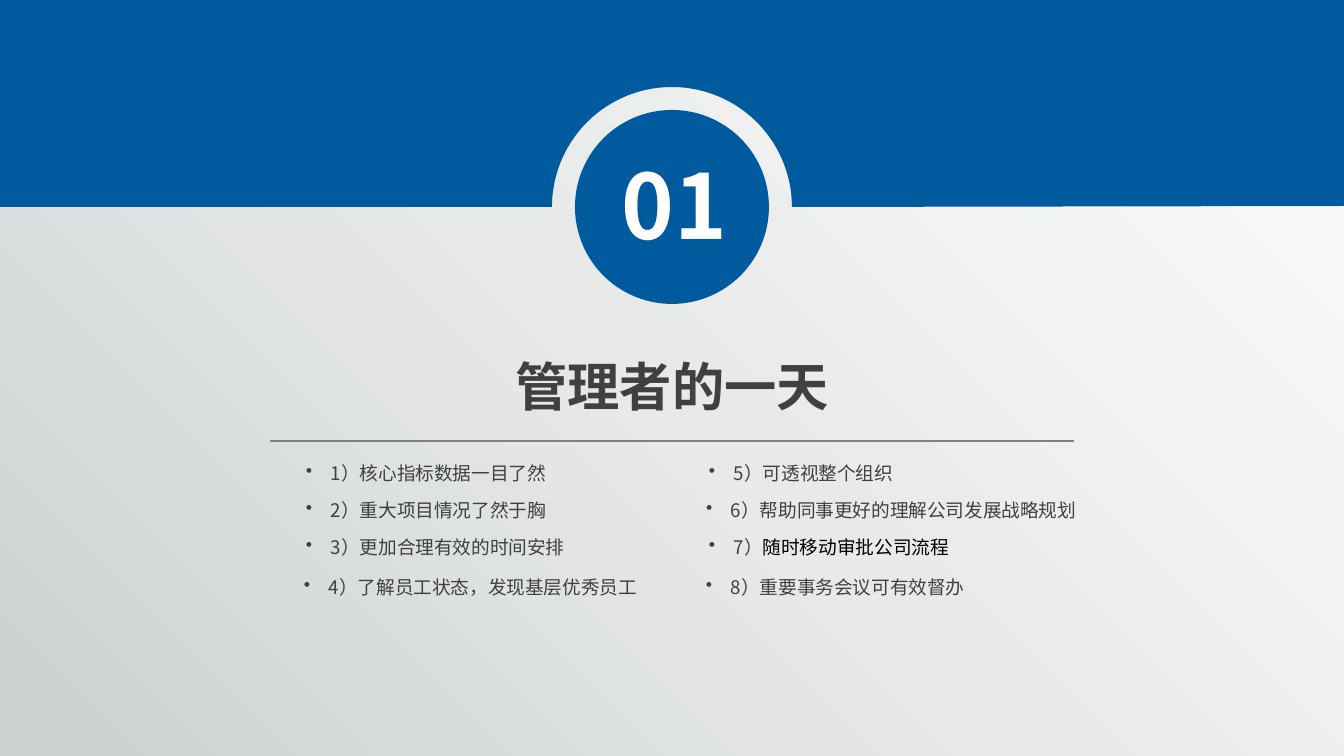
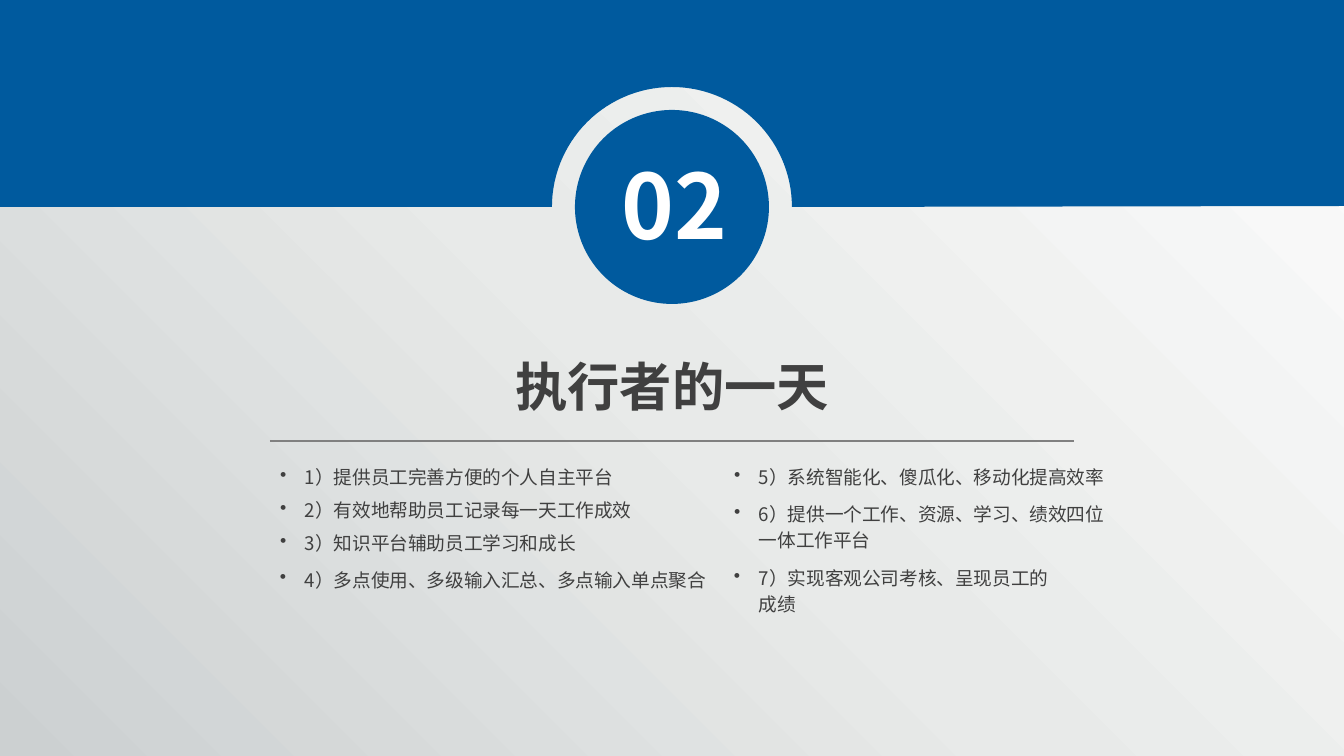
import copy
import math

from lxml import etree
from pptx import Presentation
from pptx import util as u
from pptx.dml import color
from pptx.enum import shapes, text
from pptx.oxml import ns

FONT = "Noto Sans CJK SC"
BLUE, DARK, GRAY, WHITE, BLACK = "005A9E", "404040", "808080", "FFFFFF", "000000"
FADE = [(0, "CCD0D1"), (0.49, "E8EAE9"), (1, "FCFCFC")]
WIDE, HIGH = 1344, 756
SCALE = 914400 / 134.4


def px(n):
    return u.Emu(round(n * SCALE))


def rgb(code):
    return color.RGBColor.from_string(code)


def sub(node, tag, **attrs):
    return etree.SubElement(node, ns.qn(tag), **attrs)


def paint(shape, fill):
    shape.shadow.inherit = False
    shape.fill.solid()
    shape.fill.fore_color.rgb = rgb(fill)
    shape.line.fill.background()


def write(shape, runs, box, size, bold=False, align=None, pad=(10, 5), bullet=False):
    """Fill a shape with one paragraph of (words, colour) runs."""
    shape.left, shape.top, shape.width, shape.height = map(px, box)
    frame = shape.text_frame
    frame.word_wrap = True
    frame.auto_size = text.MSO_AUTO_SIZE.SHAPE_TO_FIT_TEXT
    frame.vertical_anchor = text.MSO_ANCHOR.TOP
    frame.margin_left = frame.margin_right = px(pad[0])
    frame.margin_top = frame.margin_bottom = px(pad[1])
    para = frame.paragraphs[0]
    if bullet:
        props = para._p.get_or_add_pPr()
        props.set("marL", str(px(25)))
        props.set("indent", str(px(-25)))
        sub(props, "a:buChar", char="•")
        para.line_spacing = 1.2
    para.alignment = align
    for words, tint in runs:
        run = para.add_run()
        run.text = words
        font = run.font
        font.name, font.size, font.bold = FONT, u.Pt(size), bold
        font.color.rgb = rgb(tint)
        sub(run._r.get_or_add_rPr(), "a:ea", typeface=FONT)


def label(parent, runs, box, size, **style):
    write(parent.add_textbox(0, 0, 0, 0), runs, box, size, **style)


def backdrop(master):
    """Diagonal fade behind every slide."""
    fill = master.background.fill
    fill.gradient()
    fill.gradient_angle = 45
    stops = master.element.find(".//" + ns.qn("a:gsLst"))
    stops.append(copy.deepcopy(stops[-1]))
    for stop, (place, tint) in zip(fill.gradient_stops, FADE):
        stop.position = place
        stop.color.rgb = rgb(tint)


def band(slide, mid, base, radius):
    """Top band with a round notch centred on its lower edge."""
    arc = [(mid - radius * math.cos(math.radians(a)),
            base - radius * math.sin(math.radians(a))) for a in range(0, 181, 3)]
    edge = [(-1, base), *arc, (WIDE + 3, base - 1), (WIDE + 2, -106)]
    pen = slide.shapes.build_freeform(px(-1), px(-105))
    pen.add_line_segments([(px(x), px(y)) for x, y in edge], close=True)
    paint(pen.convert_to_shape(), BLUE)


def badge(slide, number, left, top, size):
    """Numbered disc."""
    group = slide.shapes.add_group_shape().shapes
    disc = group.add_shape(shapes.MSO_SHAPE.OVAL, px(left), px(top), px(size), px(size))
    paint(disc, BLUE)
    label(group, [(number, WHITE)], (left + 26, top + 35, 146, 118), 48,
          bold=True, align=text.PP_ALIGN.CENTER)


def rule(slide, left, top, width):
    line = slide.shapes.add_connector(shapes.MSO_CONNECTOR.STRAIGHT,
                                      px(left), px(top), px(left + width), px(top))
    line.line.color.rgb = rgb(GRAY)
    line.line.width = u.Pt(0.75)
    sub(line._element.spPr, "a:effectLst")


def points(slide, left, top, items):
    """Bullets as (x shift, y shift, width, height, words or runs)."""
    for dx, dy, width, height, words in items:
        runs = [(words, DARK)] if isinstance(words, str) else words
        label(slide.shapes, runs, (left + dx, top + dy, width, height), 10, bullet=True)


def section(prs, number, title, *columns):
    slide = prs.slides.add_slide(prs.slide_layouts[5])
    band(slide, 672, 207, 120)
    write(slide.shapes.title, [(title, DARK)], (434, 347, 476, 77), 28,
          bold=True, align=text.PP_ALIGN.CENTER, pad=(13, 7))
    rule(slide, 270, 441, 804)
    badge(slide, number, 575, 110, 194)
    for left, top, items in columns:
        points(slide, left, top, items)


def main():
    prs = Presentation()
    prs.slide_width, prs.slide_height = px(WIDE), px(HIGH)
    backdrop(prs.slide_master)

    section(
        prs, "01", "管理者的一天",
        (296, 452, [
            (0, 0, 419, 35, "1）核心指标数据一目了然"),
            (0, 37, 419, 35, "2）重大项目情况了然于胸"),
            (0, 74, 439, 35, "3）更加合理有效的时间安排"),
            (-2, 114, 456, 35, "4）了解员工状态，发现基层优秀员工"),
        ]),
        (699, 452, [
            (0, 0, 402, 35, "5）可透视整个组织"),
            (-3, 37, 402, 35, "6）帮助同事更好的理解公司发展战略规划"),
            (0, 74, 349, 35, [("7）", DARK), ("随时移动审批公司流程", BLACK)]),
            (-3, 114, 349, 35, "8）重要事务会议可有效督办"),
        ]))

    section(
        prs, "02", "执行者的一天",
        (270, 456, [
            (0, 0, 419, 38, "1）提供员工完善方便的个人自主平台"),
            (0, 33, 419, 38, "2）有效地帮助员工记录每一天工作成效"),
            (0, 66, 439, 38, "3）知识平台辅助员工学习和成长"),
            (0, 103, 456, 38, "4）多点使用、多级输入汇总、多点输入单点聚合"),
        ]),
        (724, 456, [
            (0, 0, 402, 38, "5）系统智能化、傻瓜化、移动化提高效率"),
            (0, 37, 402, 64, "6）提供一个工作、资源、学习、绩效四位一体工作平台"),
            (0, 101, 349, 64, "7）实现客观公司考核、呈现员工的成绩"),
        ]))

    prs.save("out.pptx")


if __name__ == "__main__":
    main()
